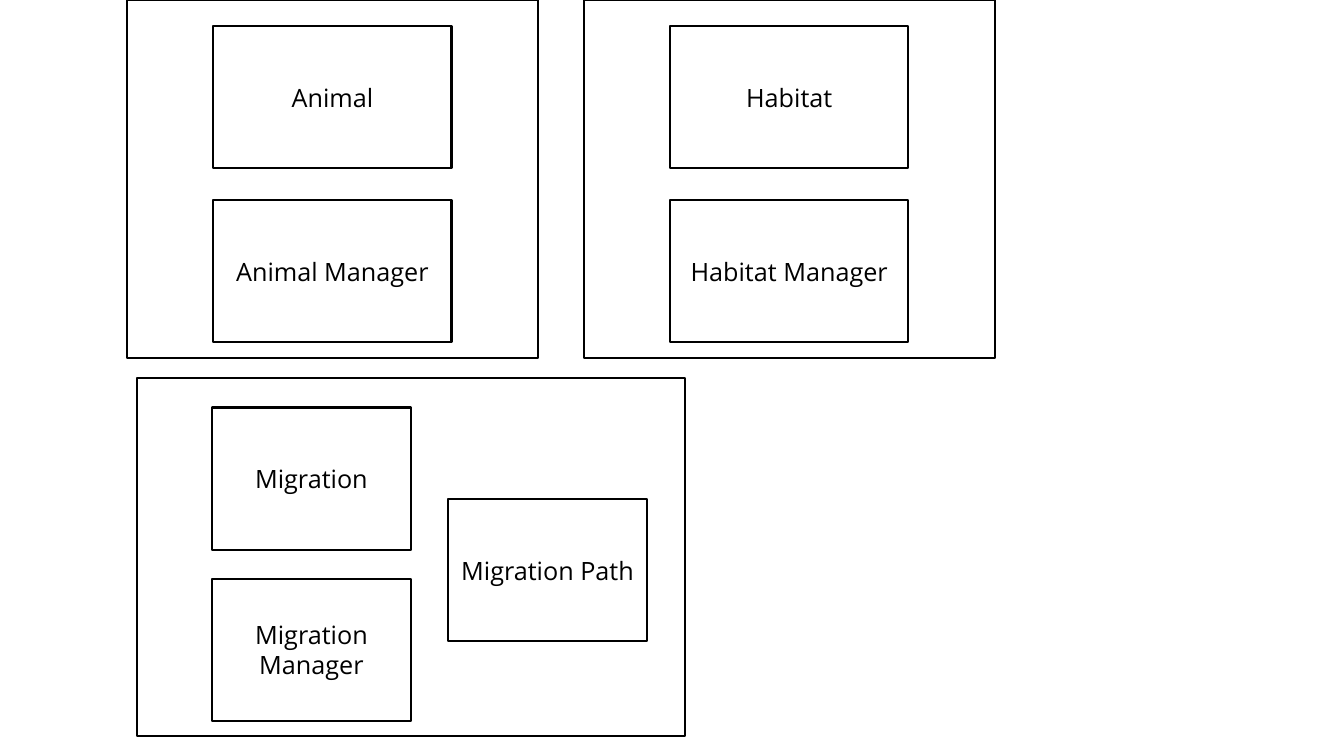
import pptx
import pptx.util
import pptx.dml.color
import pptx.enum.shapes
import pptx.enum.text

Cm = pptx.util.Cm
INK = "000000"
MODULE_HEIGHT = 9.02
CLASS_HEIGHT = 3.58
MANAGER_TOP = 5.05


def color(hex_value):
    return pptx.dml.color.RGBColor.from_string(hex_value)


def add_box(group, left, top, width, height, label=""):
    """Add an outlined rectangle, measured in centimetres."""
    box = group.shapes.add_shape(
        pptx.enum.shapes.MSO_SHAPE.RECTANGLE,
        Cm(left), Cm(top), Cm(width), Cm(height))
    box.shadow.inherit = False
    box.fill.background()
    box.line.color.rgb = color(INK)
    box.line.width = pptx.util.Pt(1.5)
    if label:
        frame = box.text_frame
        frame.word_wrap = True
        frame.vertical_anchor = pptx.enum.text.MSO_ANCHOR.MIDDLE
        paragraph = frame.paragraphs[0]
        paragraph.alignment = pptx.enum.text.PP_ALIGN.CENTER
        run = paragraph.add_run()
        run.text = label
        label_format = {"name": "Open Sans", "size": pptx.util.Pt(18)}
        for attribute, value in label_format.items():
            setattr(run.font, attribute, value)
        run.font.color.rgb = color(INK)


def add_module(slide, left, top, width, class_width, classes):
    """Group a module frame with its classes, given as (label, x, y) inside it."""
    module = slide.shapes.add_group_shape()
    add_box(module, left, top, width, MODULE_HEIGHT)
    for label, x, y in classes:
        add_box(module, left + x, top + y, class_width, CLASS_HEIGHT, label)


def add_entity_module(slide, left, entity):
    width, class_width = 10.36, 6
    x = (width - class_width) / 2
    add_module(slide, left, 0, width, class_width,
               [(entity, x, 0.66), (f"{entity} Manager", x, MANAGER_TOP)])


def add_migration_module(slide, left, top):
    add_module(slide, left, top, 13.82, 5,
               [("Migration", 1.9, 0.74),
                ("Migration Manager", 1.9, MANAGER_TOP),
                ("Migration Path", 7.85, 3.05)])


def main():
    deck = pptx.Presentation()
    deck.slide_width, deck.slide_height = Cm(33.87), Cm(19.05)
    slide = deck.slides.add_slide(deck.slide_layouts[6])
    for left, entity in ((3.2, "Animal"), (14.71, "Habitat")):
        add_entity_module(slide, left, entity)
    add_migration_module(slide, 3.45, 9.53)
    deck.save("out.pptx")


if __name__ == "__main__":
    main()
